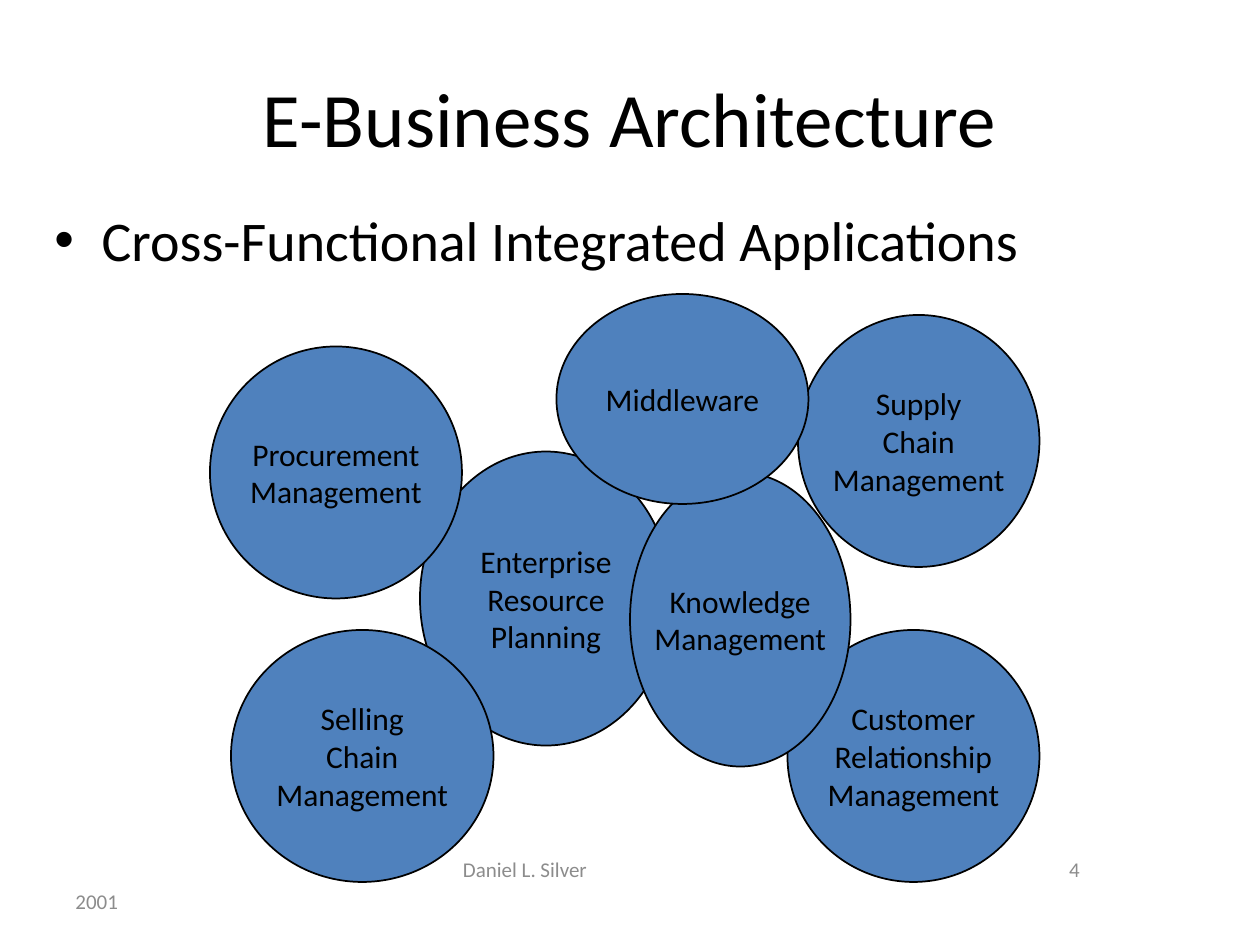
"""Build the E-Business Architecture slide with its overlapping application circles."""
from pptx import Presentation
from pptx.dml.color import RGBColor
from pptx.enum.shapes import MSO_SHAPE
from pptx.enum.text import MSO_ANCHOR, PP_ALIGN
from pptx.oxml.ns import qn
from pptx.util import Pt
from lxml.etree import SubElement

COLORS = {"text": "000000", "footer": "8C8C8C", "circle": "4F81BD", "outline": "000000"}
FONT = "Calibri"

TITLE = ("E-Business Architecture", (36, 21.6, 648, 90))
BULLET = ("Cross-Functional Integrated Applications", (24, 114, 612, 350.4))
FOOTERS = [
    ("2001", (36, 500.4, 168, 28.8), PP_ALIGN.LEFT),
    ("Daniel L. Silver", (186, 482.4, 228, 28.8), PP_ALIGN.CENTER),
    ("4", (456, 482.4, 168, 28.8), PP_ALIGN.RIGHT),
]
CIRCLES = [
    ("Enterprise\nResource\nPlanning", (240, 258, 144, 168)),
    ("Supply\nChain\nManagement", (456, 180, 138, 144)),
    ("Customer\nRelationship\nManagement", (450, 360, 144, 144)),
    ("Selling\nChain\nManagement", (132, 360, 150, 144)),
    ("Procurement\nManagement", (120, 198, 144, 144)),
    ("Knowledge\nManagement", (360, 270, 126, 168)),
    ("Middleware", (318, 168, 144, 120)),
]


def write_text(shape, text, size=18, color="text", align=PP_ALIGN.CENTER,
               anchor=MSO_ANCHOR.MIDDLE, wrap=True):
    """Fill a shape with one paragraph per line of text."""
    frame = shape.text_frame
    frame.word_wrap = wrap
    frame.vertical_anchor = anchor
    frame.text = text
    for para in frame.paragraphs:
        para.alignment = align
        for span in para.runs:
            span.font.name = FONT
            span.font.size = Pt(size)
            span.font.color.rgb = RGBColor.from_string(COLORS[color])


def add_text(page, text, bounds, **style):
    """Add a formatted text box."""
    box = page.shapes.add_textbox(*map(Pt, bounds))
    write_text(box, text, **style)
    return box


def add_circle(page, text, bounds):
    """Add a labelled application circle."""
    circle = page.shapes.add_shape(MSO_SHAPE.OVAL, *map(Pt, bounds))
    circle.shadow.inherit = False
    circle.fill.solid()
    circle.fill.fore_color.rgb = RGBColor.from_string(COLORS["circle"])
    circle.line.color.rgb = RGBColor.from_string(COLORS["outline"])
    circle.line.width = Pt(1)
    write_text(circle, text, wrap=False)


def add_bullet(para, indent):
    """Give a paragraph a hanging round bullet."""
    properties = para._p.get_or_add_pPr()
    properties.set("marL", str(Pt(indent)))
    properties.set("indent", str(-Pt(indent)))
    SubElement(properties, qn("a:buFont"), typeface="Arial")
    SubElement(properties, qn("a:buChar"), char="•")


deck = Presentation()
deck.slide_width, deck.slide_height = Pt(720), Pt(540)
page = deck.slides.add_slide(deck.slide_layouts[6])

for text, bounds, align in FOOTERS:
    add_text(page, text, bounds, size=12, color="footer", align=align)
add_text(page, *TITLE, size=44)
body = add_text(page, *BULLET, size=32, align=PP_ALIGN.LEFT, anchor=MSO_ANCHOR.TOP)
add_bullet(body.text_frame.paragraphs[0], 27)
for text, bounds in CIRCLES:
    add_circle(page, text, bounds)

deck.save("out.pptx")
